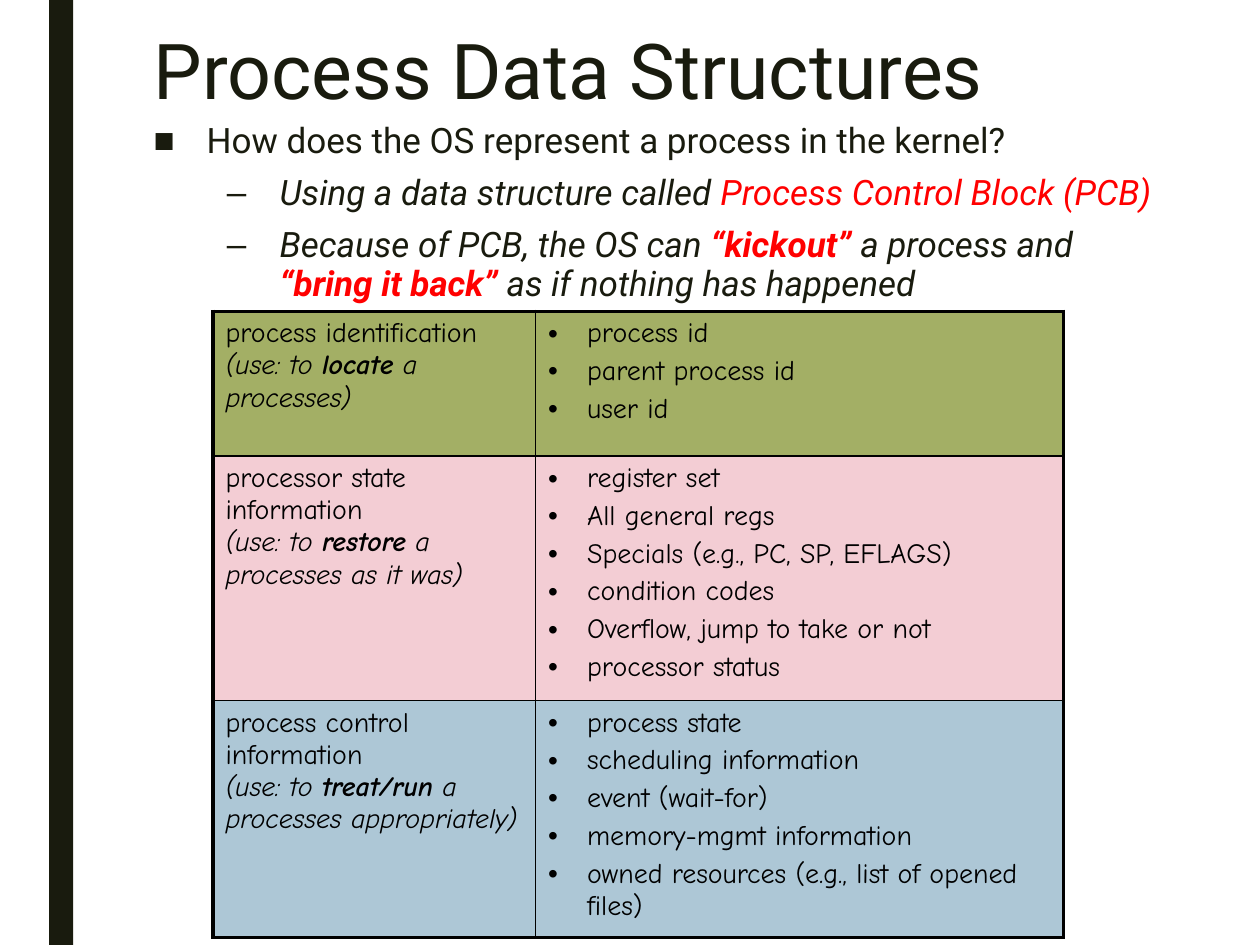
from dataclasses import dataclass

from lxml.etree import SubElement as Sub
from pptx import Presentation
from pptx.dml.color import RGBColor as Rgb
from pptx.enum.shapes import MSO_SHAPE as Kind
from pptx.enum.text import MSO_ANCHOR as Anchor, MSO_AUTO_SIZE as Fit, PP_ALIGN as Align
from pptx.oxml.ns import qn
from pptx.util import Inches, Pt


@dataclass(frozen=True)
class Theme:
    ink: str = "191B0E"
    red: str = "FF0000"
    black: str = "000000"
    green: str = "A3AF65"
    pink: str = "F3CDD4"
    blue: str = "ADC7D6"
    head: str = "Roboto"
    hand: str = "Comic Neue"
    title: int = 44
    body: int = 20
    cell: int = 16
    thin: float = 1
    thick: float = 2.25


T = Theme()

POINTS = [
    (0, "■", [("How does the OS represent a process in the kernel?", T.ink, False)]),
    (1, "–", [("Using a data structure called ", T.ink, False),
              ("Process Control Block (PCB)", T.red, False)]),
    (1, "–", [("Because of PCB, the OS can ", T.ink, False),
              ("“kickout” ", T.red, True),
              ("a process and ", T.ink, False),
              ("“bring it back”", T.red, True),
              (" as if nothing has happened", T.ink, False)]),
]

ROWS = [
    (1.15, T.green, "process identification", "locate", " a processes)",
     ["process id", "parent process id", "user id"]),
    (1.94, T.pink, "processor state information", "restore", " a processes as it was)",
     ["register set", "All general regs", "Specials (e.g., PC, SP, EFLAGS)",
      "condition codes", "Overflow, jump to take or not", "processor status"]),
    (1.88, T.blue, "process control information", "treat/run",
     " a processes appropriately)",
     ["process state", "scheduling information", "event (wait-for)",
      "memory-mgmt information", "owned resources (e.g., list of opened files)"]),
]


def add_run(para, text, face, size, color, bold=False, italic=False):
    run = para.add_run()
    run.text = text
    font = run.font
    font.name, font.size = face, Pt(size)
    font.bold, font.italic = bold, italic
    font.color.rgb = Rgb.from_string(color)


def add_para(frame, first):
    return frame.paragraphs[0] if first else frame.add_paragraph()


def set_bullet(para, mark, left, hang):
    props = para._p.get_or_add_pPr()
    props.set("marL", str(Inches(left)))
    props.set("indent", str(-Inches(hang)))
    Sub(props, qn("a:buFont"), typeface="Arial")
    Sub(props, qn("a:buChar"), char=mark)


def set_gap(para):
    gap = Sub(para._p.get_or_add_pPr(), qn("a:spcBef"))
    Sub(gap, qn("a:spcPct"), val="20000")


def set_edges(cell, sides):
    props = cell._tc.get_or_add_tcPr()
    for side, width in sides.items():
        line = Sub(props, qn(f"a:ln{side}"), w=str(Pt(width)))
        fill = Sub(line, qn("a:solidFill"))
        Sub(fill, qn("a:srgbClr"), val=T.black)


def place(shape, box):
    shape.left, shape.top, shape.width, shape.height = map(Inches, box)
    frame = shape.text_frame
    frame.word_wrap = True
    frame.auto_size = Fit.NONE
    frame.vertical_anchor = Anchor.TOP
    return frame


def add_bar(slide, box):
    bar = slide.shapes.add_shape(Kind.RECTANGLE, *map(Inches, box))
    bar.shadow.inherit = False
    bar.fill.solid()
    bar.fill.fore_color.rgb = Rgb.from_string(T.ink)
    bar.line.fill.background()


def add_title(slide, box):
    para = place(slide.shapes.title, box).paragraphs[0]
    para.alignment = Align.LEFT
    para.line_spacing = 0.89
    add_run(para, "Process Data Structures", T.head, T.title, T.ink)


def add_body(slide, box):
    frame = place(slide.placeholders[1], box)
    for i, (level, mark, runs) in enumerate(POINTS):
        para = add_para(frame, i == 0)
        para.level = level
        para.line_spacing = 0.94
        para.space_before = Pt(5 if level else 10)
        para.space_after = Pt(2)
        set_bullet(para, mark, 1 if level else 0.42, 0.42)
        for text, color, bold in runs:
            add_run(para, text, T.head, T.body, color, bold, level == 1)


def fill_use(cell, name, verb, rest):
    para = cell.text_frame.paragraphs[0]
    set_gap(para)
    add_run(para, name, T.hand, T.cell, T.black)
    para.add_line_break()
    for text, bold in (("(use: to ", False), (verb, True), (rest, False)):
        add_run(para, text, T.hand, T.cell, T.black, bold, True)


def fill_list(cell, items):
    for i, item in enumerate(items):
        para = add_para(cell.text_frame, i == 0)
        set_gap(para)
        set_bullet(para, "•", 0.31, 0.31)
        add_run(para, item, T.hand, T.cell, T.black)


def add_grid(slide, box):
    grid = slide.shapes.add_table(len(ROWS), 2, *map(Inches, box)).table
    grid.first_row = grid.horz_banding = False
    for col, width in zip(grid.columns, (2.56, 4.19)):
        col.width = Inches(width)
    last = len(ROWS) - 1
    for i, (high, color, name, verb, rest, items) in enumerate(ROWS):
        grid.rows[i].height = Inches(high)
        fill_use(grid.cell(i, 0), name, verb, rest)
        fill_list(grid.cell(i, 1), items)
        for j in range(2):
            cell = grid.cell(i, j)
            outer = {"L": j == 0, "R": j == 1, "T": i == 0, "B": i == last}
            set_edges(cell, {side: T.thick if out else T.thin
                             for side, out in outer.items()})
            cell.fill.solid()
            cell.fill.fore_color.rgb = Rgb.from_string(color)


def main():
    deck = Presentation()
    deck.slide_width, deck.slide_height = Inches(10), Inches(7.5)
    slide = deck.slides.add_slide(deck.slide_layouts[1])
    add_bar(slide, (0.39, 0, 0.19, 7.5))
    add_title(slide, (1.12, 0.22, 7.88, 1.62))
    add_body(slide, (1.12, 0.92, 8.16, 4.5))
    add_grid(slide, (1.69, 2.47, 6.75, 4.97))
    deck.save("out.pptx")


if __name__ == "__main__":
    main()
